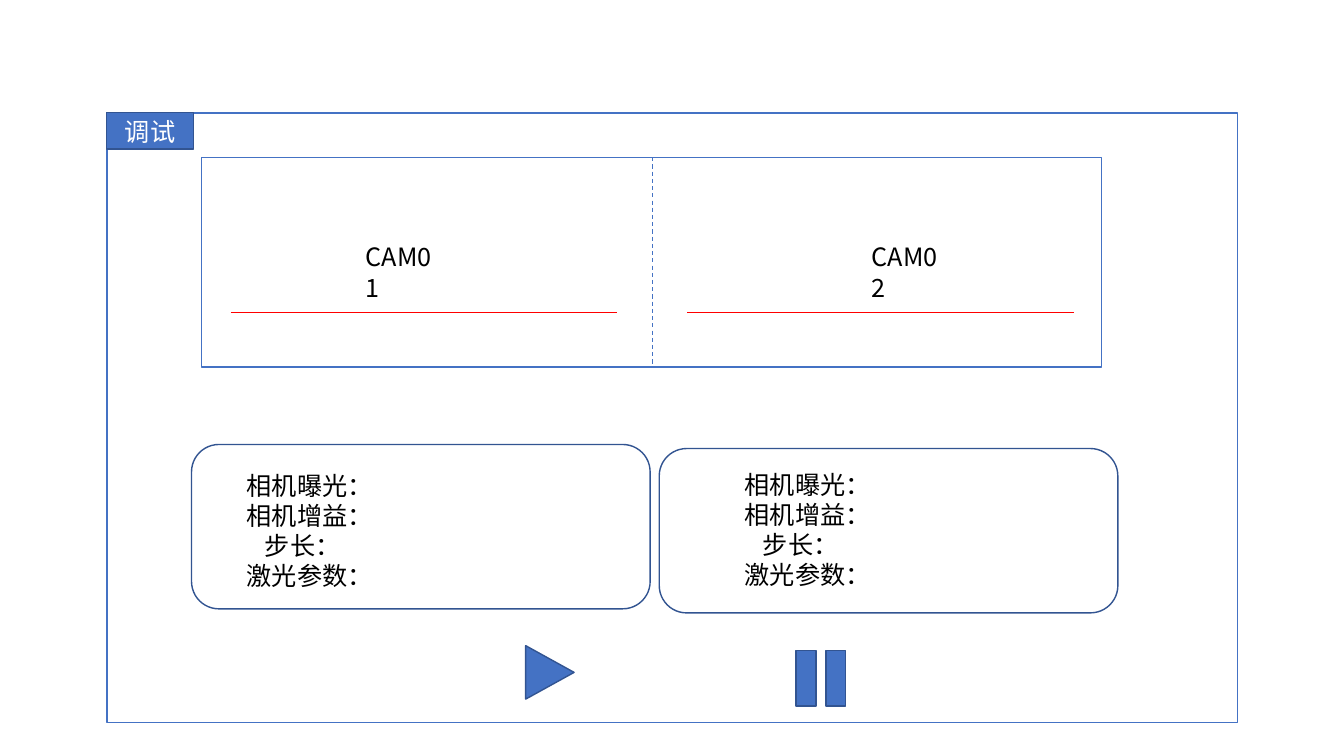
from lxml.etree import SubElement
from pptx import Presentation
from pptx.dml.color import RGBColor
from pptx.enum.dml import MSO_LINE
from pptx.enum.shapes import MSO_CONNECTOR, MSO_SHAPE
from pptx.enum.text import MSO_ANCHOR, PP_ALIGN
from pptx.oxml.ns import qn
from pptx.util import Pt

FONT = "Noto Sans CJK SC"
WHITE, BLACK, RED = "FFFFFF", "000000", "FF0000"
BLUE, DARK_BLUE = "4472C4", "325491"
PARAMETERS = [("相机曝光：", 72), ("相机增益：", 72), ("步长：", 85), ("激光参数：", 72)]


def color(value):
    """Return the colour for a hex string."""
    return RGBColor.from_string(value)


def add_run(paragraph, text, text_color):
    """Add one run in the slide's font for Latin and Chinese letters."""
    run = paragraph.add_run()
    run.text = text
    run.font.size = Pt(18)
    run.font.name = FONT
    run.font.color.rgb = color(text_color)
    SubElement(run.font._element, qn("a:ea")).set("typeface", FONT)


def add_box(slide, kind, left, top, width, height, fill=None, line=DARK_BLUE, rotation=0):
    """Add an outlined preset shape, with or without a fill."""
    shape = slide.shapes.add_shape(kind, Pt(left), Pt(top), Pt(width), Pt(height))
    shape.shadow.inherit = False
    shape.rotation = rotation
    if fill:
        shape.fill.solid()
        shape.fill.fore_color.rgb = color(fill)
    else:
        shape.fill.background()
    shape.line.color.rgb = color(line)
    shape.line.width = Pt(1)
    return shape


def add_text(slide, left, top, width, height, lines, spacing, inset=3.6):
    """Add a text box from pairs of text and left indent."""
    box = slide.shapes.add_textbox(Pt(left), Pt(top), Pt(width), Pt(height))
    frame = box.text_frame
    frame.word_wrap = True
    frame.margin_top = Pt(inset)
    for index, (text, indent) in enumerate(lines):
        paragraph = frame.paragraphs[0] if index == 0 else frame.add_paragraph()
        paragraph.line_spacing = Pt(spacing)
        paragraph._p.get_or_add_pPr().set("marL", str(Pt(indent)))
        add_run(paragraph, text, BLACK)


def add_line(slide, start, end, line_color, width, dash=None):
    """Add a straight line between two points."""
    line = slide.shapes.add_connector(
        MSO_CONNECTOR.STRAIGHT, Pt(start[0]), Pt(start[1]), Pt(end[0]), Pt(end[1]))
    line.line.color.rgb = color(line_color)
    line.line.width = Pt(width)
    if dash:
        line.line.dash_style = dash
    SubElement(line._element.spPr, qn("a:effectLst"))


def add_window(slide):
    """Add the window frame and its title tab."""
    add_box(slide, MSO_SHAPE.RECTANGLE, 76.3, 80.6, 807.8, 435.6, WHITE, BLUE)
    tab = add_box(slide, MSO_SHAPE.RECTANGLE, 76.3, 80.6, 61.9, 25.9, BLUE)
    tab.text_frame.vertical_anchor = MSO_ANCHOR.MIDDLE
    paragraph = tab.text_frame.paragraphs[0]
    paragraph.alignment = PP_ALIGN.CENTER
    add_run(paragraph, "调试", WHITE)


def add_camera_views(slide):
    """Add the two camera views with their labels and laser lines."""
    add_box(slide, MSO_SHAPE.RECTANGLE, 144, 112.3, 643, 149.8, WHITE, BLUE)
    add_line(slide, (465.8, 112.3), (465.8, 261.4), BLUE, 0.75, MSO_LINE.DASH)
    views = [("CAM01", 254.2, 164.9), ("CAM02", 615.6, 491)]
    for name, label_left, laser_left in views:
        add_text(slide, label_left, 168.5, 68.4, 28.8, [(name, 0)], 22)
        add_line(slide, (laser_left, 223.2), (laser_left + 276, 223.2), RED, 0.5)


def add_parameter_panels(slide):
    """Add the rounded panels that list the camera parameters."""
    panels = [(136.8, 317.5, 97.2, 329.8, 480.2), (470.9, 320.4, 452.9, 329, 395.3)]
    for left, top, text_left, text_top, text_width in panels:
        add_box(slide, MSO_SHAPE.ROUNDED_RECTANGLE, left, top, 327.6, 117.4)
        add_text(slide, text_left, text_top, text_width, 94.3, PARAMETERS, 21.5, 6)


def add_playback_buttons(slide):
    """Add the play and pause symbols."""
    add_box(slide, MSO_SHAPE.ISOSCELES_TRIANGLE, 373.7, 463, 38.2, 34.6, BLUE, rotation=90)
    add_box(slide, MSO_SHAPE.MATH_EQUAL, 559.4, 454.3, 54, 60.5, BLUE, rotation=270)


def main():
    """Build the slide and save it."""
    presentation = Presentation()
    presentation.slide_width = Pt(960)
    presentation.slide_height = Pt(540)
    slide = presentation.slides.add_slide(presentation.slide_layouts[6])
    add_window(slide)
    add_camera_views(slide)
    add_parameter_panels(slide)
    add_playback_buttons(slide)
    presentation.save("out.pptx")


if __name__ == "__main__":
    main()
